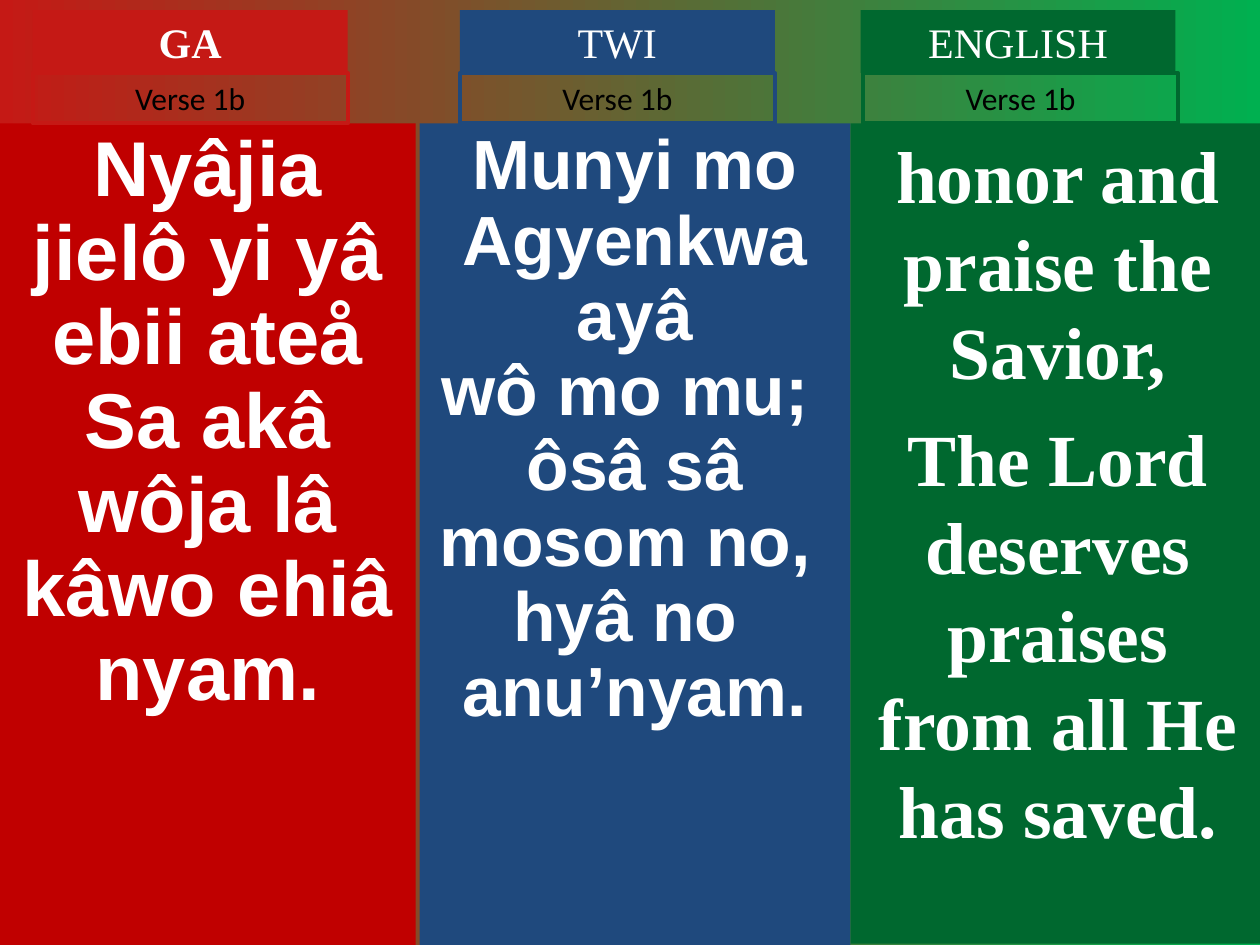
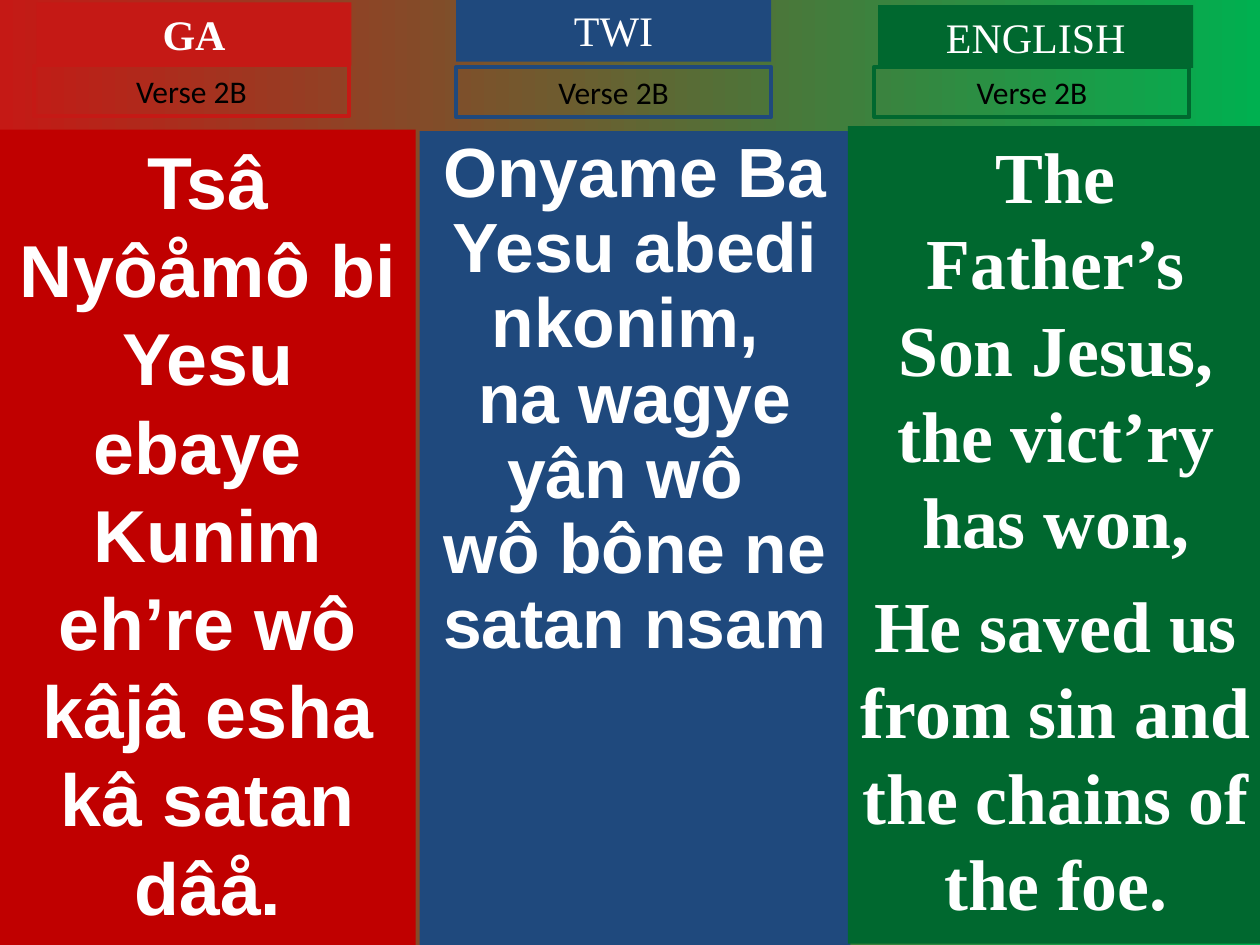
from pptx import Presentation
from pptx.dml.color import RGBColor
from pptx.enum.shapes import MSO_SHAPE
from pptx.enum.text import MSO_ANCHOR, PP_ALIGN
from pptx.util import Inches, Pt

RECTANGLE = MSO_SHAPE.RECTANGLE
TOP, CENTER = MSO_ANCHOR.TOP, PP_ALIGN.CENTER

THEME = {
    "red": "C51915", "deep red": "C00000", "blue": "1F497D",
    "green": "00682F", "bright green": "00B050",
    "white": "FFFFFF", "black": "000000",
    "serif": "Times New Roman", "sans": "Arial", "label": "Calibri",
    "heading size": 24, "verse size": 18, "border": 2.25,
}
TAB_WIDTH, HEADING_HEIGHT, VERSE_HEIGHT = 2.5, 0.5, 0.4

# Columns: language, tab colour, panel colour, lyric font, bold heading
COLUMNS = [
    ("GA", "red", "deep red", "sans", True),
    ("TWI", "blue", "blue", "sans", False),
    ("ENGLISH", "green", "green", "serif", False),
]

# Per column: panel frame, heading corner, verse corner,
# lyric size, line spacing, paragraph gap, lyric paragraphs
SLIDES = [
    ("Verse 1b", [
        ((0, 0.98, 3.3, 6.52), (0.26, 0.08), (0.26, 0.58), 44.4, 0.9, 0,
         ["Nyâjia jielô yi yâ ebii ateå", "Sa akâ wôja lâ",
          "kâwo ehiâ nyam."]),
        ((3.33, 0.98, 3.42, 6.52), (3.65, 0.08), (3.65, 0.58), 39.8, 0.9, 0,
         ["Munyi mo Agyenkwa ayâ", "wô mo mu; ", "ôsâ sâ mosom no, ",
          "hyâ no ", "anu’nyam."]),
        ((6.75, 0.98, 3.29, 6.51), (6.83, 0.08), (6.85, 0.58), 42, 1, 10.5,
         ["honor and praise the Savior,",
          "The Lord deserves praises from all He has saved."]),
    ]),
    ("Verse 2B", [
        ((0, 1.03, 3.3, 6.47), (0.29, 0.02), (0.27, 0.52), 42, 1, 0,
         ["Tsâ Nyôåmô bi Yesu ebaye ",
          "Kunim eh’re wô kâjâ esha kâ satan dâå."]),
        ((3.33, 1.04, 3.42, 6.46), (3.62, -0.01), (3.62, 0.53), 39.8, 0.9, 0,
         ["Onyame Ba Yesu abedi nkonim, ", "na wagye yân wô ",
          "wô bône ne satan nsam"]),
        ((6.73, 1, 3.3, 6.49), (6.97, 0.04), (6.94, 0.53), 41, 1, 10.3,
         ["The Father’s Son Jesus, the vict’ry has won,",
          "He saved us from sin and the chains of the foe."]),
    ]),
]


def color(name):
    return RGBColor.from_string(THEME[name])


def add_box(page, frame, lines, ink, font, fill=None, border=None,
            spacing=1, gap=0):
    box = page.shapes.add_shape(RECTANGLE, *map(Inches, frame))
    box.shadow.inherit = False
    if fill:
        box.fill.solid()
        box.fill.fore_color.rgb = color(fill)
    else:
        box.fill.background()
    if border:
        box.line.color.rgb = color(border)
        box.line.width = Pt(THEME["border"])
    else:
        box.line.fill.background()
    text = box.text_frame
    text.word_wrap = True
    text.vertical_anchor = TOP
    for number, line in enumerate(lines):
        para = text.add_paragraph() if number else text.paragraphs[0]
        para.alignment = CENTER
        para.line_spacing = spacing
        para.space_before = Pt(gap if number else 0)
        span = para.add_run()
        span.text = line
        span.font.color.rgb = color(ink)
        for key, value in font.items():
            setattr(span.font, key, value)


deck = Presentation()
deck.slide_width, deck.slide_height = Inches(10), Inches(7.5)

# Shared background: red to green, left to right
backdrop = deck.slide_master.background.fill
backdrop.gradient()
backdrop.gradient_angle = 0
for stop, name in zip(backdrop.gradient_stops, ("red", "bright green")):
    stop.color.rgb = color(name)

heading_font = {"name": THEME["serif"], "size": Pt(THEME["heading size"])}
verse_font = {"name": THEME["label"], "size": Pt(THEME["verse size"])}

for verse, parts in SLIDES:
    page = deck.slides.add_slide(deck.slide_layouts[6])
    for column, part in zip(COLUMNS, parts):
        language, tab, panel, face, bold = column
        frame, heading_at, verse_at, size, spacing, gap, lyrics = part
        # Lyrics panel
        lyric_font = {"name": THEME[face], "size": Pt(size), "bold": True}
        add_box(page, frame, lyrics, "white", lyric_font, fill=panel,
                spacing=spacing, gap=gap)
        # Language heading and verse label
        add_box(page, (*heading_at, TAB_WIDTH, HEADING_HEIGHT), [language],
                "white", {**heading_font, "bold": bold}, fill=tab)
        add_box(page, (*verse_at, TAB_WIDTH, VERSE_HEIGHT), [verse],
                "black", verse_font, border=tab)

deck.save("out.pptx")
